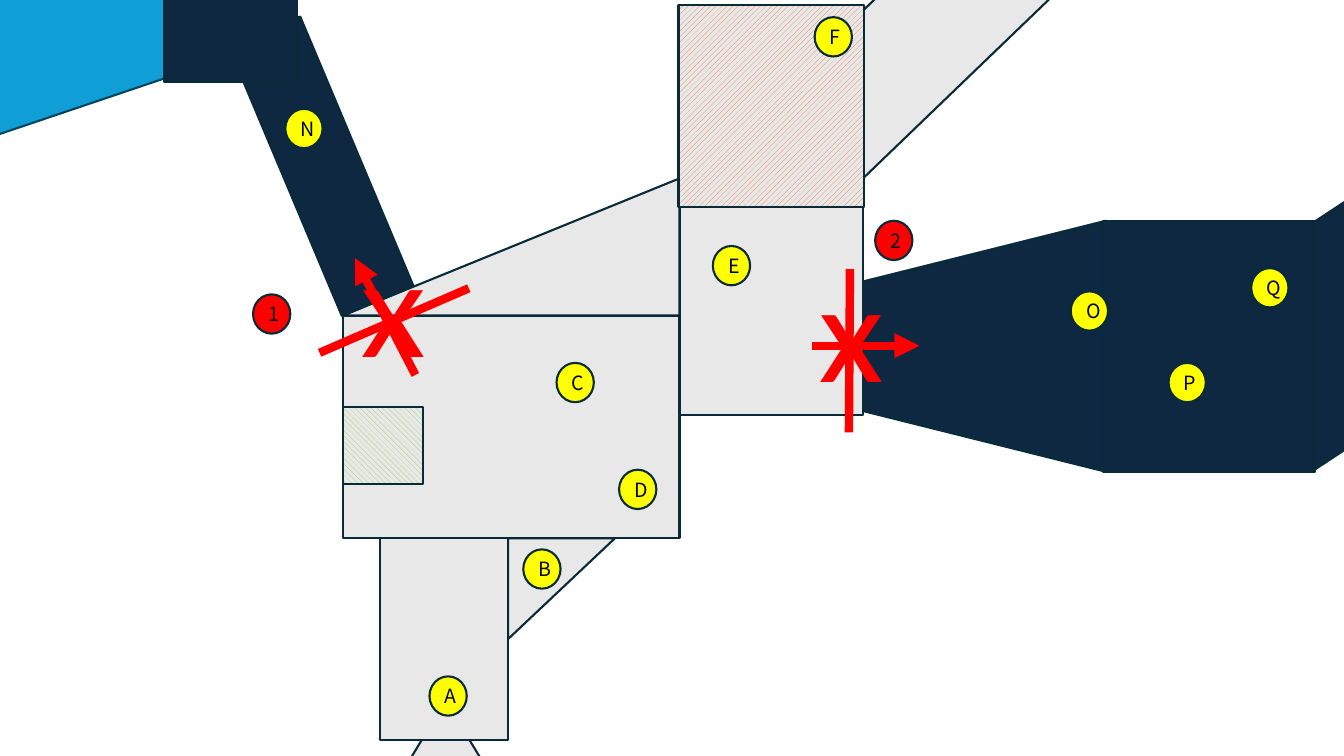
"""Build a slide of labelled blocks with two crossed-out red arrows."""
from dataclasses import dataclass
from typing import Optional

from lxml import etree
from pptx import Presentation
from pptx import util as u
from pptx.dml.color import RGBColor
from pptx.enum import dml, shapes, text
from pptx.oxml import ns

GREY = RGBColor(0xE8, 0xE8, 0xE8)
NAVY = RGBColor(0x0E, 0x28, 0x41)
OUTLINE = RGBColor(0x09, 0x2A, 0x39)
BLUE = RGBColor(0x0F, 0x9E, 0xD5)
BLUE_OUTLINE = RGBColor(0x07, 0x45, 0x5D)
ORANGE = RGBColor(0xE9, 0x71, 0x32)
GREEN = RGBColor(0x92, 0xD0, 0x50)
YELLOW = RGBColor(0xFF, 0xFF, 0x00)
RED = RGBColor(0xFF, 0x00, 0x00)
BLACK = RGBColor(0x00, 0x00, 0x00)

Kind = shapes.MSO_SHAPE
Pattern = dml.MSO_PATTERN
BADGE_WIDTH, BADGE_HEIGHT = 0.37, 0.39


@dataclass
class Block:
    kind: Kind
    left: float
    top: float
    width: float
    height: float
    fill: RGBColor = GREY
    outline: RGBColor = OUTLINE
    rotation: float = 0
    flip: str = ""
    adjustment: Optional[float] = None
    pattern: Optional[Pattern] = None


@dataclass
class Badge:
    label: str
    left: float
    top: float
    fill: RGBColor = YELLOW


@dataclass
class Stroke:
    x1: float
    y1: float
    x2: float
    y2: float
    arrow: bool = False


BLOCKS = [
    Block(Kind.ISOSCELES_TRIANGLE, 3.5, 6.95, 1.84, 1.52),
    Block(Kind.RECTANGLE, 3.77, 4.77, 1.27, 2.57),
    Block(Kind.RECTANGLE, 3.4, 3.13, 3.34, 2.21),
    Block(Kind.RIGHT_TRIANGLE, 5.04, 5.34, 1.06, 1, flip="flipV"),
    Block(Kind.RIGHT_TRIANGLE, 3.4, 1.77, 3.34, 1.36, flip="flipH"),
    Block(Kind.RECTANGLE, 6.74, 0.1, 1.82, 4.02),
    Block(Kind.RECTANGLE, 2.8, 0.2, 0.77, 2.9, NAVY, rotation=337.2),
    Block(Kind.TRAPEZOID, -2.7, -2.09, 4.32, 4.35, BLUE, BLUE_OUTLINE,
          rotation=90, adjustment=0.34),
    Block(Kind.RECTANGLE, 1.63, -0.6, 1.32, 1.41, NAVY),
    Block(Kind.DIAGONAL_STRIPE, 8.56, -1.56, 3.46, 3.33),
    Block(Kind.TRAPEZOID, 8.52, 2.23, 2.49, 2.41, NAVY, rotation=270),
    Block(Kind.RECTANGLE, 10.94, 2.19, 2.1, 2.49, NAVY),
    Block(Kind.PARALLELOGRAM, 11.97, 2.54, 3.18, 1.09, NAVY,
          rotation=270, flip="flipH", adjustment=0.66),
]
HATCHED_BLOCKS = [
    Block(Kind.RECTANGLE, 6.73, 0.05, 1.84, 2, ORANGE,
          pattern=Pattern.WIDE_UPWARD_DIAGONAL),
    Block(Kind.RECTANGLE, 3.4, 4.04, 0.8, 0.76, GREEN,
          pattern=Pattern.WIDE_DOWNWARD_DIAGONAL),
]
STROKES = [
    Stroke(3.17, 3.5, 4.65, 2.86),
    Stroke(4.12, 3.72, 3.52, 2.56, arrow=True),
    Stroke(8.42, 4.29, 8.43, 2.67),
    Stroke(8.05, 3.43, 9.12, 3.43, arrow=True),
]
CROSSES = [(3.5, 2.58), (8.04, 2.83)]
BADGES = [
    Badge("A", 4.26, 6.71),
    Badge("B", 5.19, 5.45),
    Badge("C", 5.52, 3.6),
    Badge("D", 6.14, 4.66),
    Badge("E", 7.07, 2.44),
    Badge("F", 8.08, 0.17),
    Badge("P", 11.59, 3.6),
    Badge("Q", 12.41, 2.66),
    Badge("O", 10.62, 2.89),
    Badge("N", 2.83, 1.08),
    Badge("1", 2.51, 2.92, RED),
    Badge("2", 8.68, 2.19, RED),
]


def write(shape, content: str, *, size: float, font: str, color: RGBColor,
          bold: bool = False, align=text.PP_ALIGN.LEFT,
          anchor=text.MSO_ANCHOR.TOP) -> None:
    frame = shape.text_frame
    frame.word_wrap = True
    frame.vertical_anchor = anchor
    paragraph = frame.paragraphs[0]
    paragraph.alignment = align
    run = paragraph.add_run()
    run.text = content
    run.font.size = u.Pt(size)
    run.font.name = font
    run.font.bold = bold
    run.font.color.rgb = color


def draw_block(slide, block: Block):
    shape = slide.shapes.add_shape(
        block.kind, u.Inches(block.left), u.Inches(block.top),
        u.Inches(block.width), u.Inches(block.height))
    shape.shadow.inherit = False
    shape.rotation = block.rotation
    if block.adjustment is not None:
        shape.adjustments[0] = block.adjustment
    if block.flip:
        shape._element.spPr.get_or_add_xfrm().set(block.flip, "1")
    if block.pattern is None:
        shape.fill.solid()
        shape.fill.fore_color.rgb = block.fill
    else:
        shape.fill.patterned()
        shape.fill.pattern = block.pattern
        shape.fill.fore_color.rgb = block.fill
        shape.fill.back_color.rgb = GREY
    shape.line.color.rgb = block.outline
    shape.line.width = u.Pt(1.5)
    return shape


def draw_badge(slide, badge: Badge) -> None:
    shape = draw_block(slide, Block(Kind.OVAL, badge.left, badge.top,
                                    BADGE_WIDTH, BADGE_HEIGHT, badge.fill))
    write(shape, badge.label, size=14, font="Noto Sans CJK KR", color=BLACK,
          align=text.PP_ALIGN.CENTER, anchor=text.MSO_ANCHOR.MIDDLE)


def draw_stroke(slide, stroke: Stroke) -> None:
    connector = slide.shapes.add_connector(
        shapes.MSO_CONNECTOR.STRAIGHT, u.Inches(stroke.x1), u.Inches(stroke.y1),
        u.Inches(stroke.x2), u.Inches(stroke.y2))
    connector.line.color.rgb = RED
    connector.line.width = u.Pt(6)
    if stroke.arrow:
        etree.SubElement(connector.line._get_or_add_ln(), ns.qn("a:tailEnd"),
                         type="triangle")
    etree.SubElement(connector._element.spPr, ns.qn("a:effectLst"))


def draw_cross(slide, left: float, top: float) -> None:
    box = slide.shapes.add_textbox(u.Inches(left), u.Inches(top),
                                   u.Inches(1.4), u.Inches(1.21))
    write(box, "X", size=66, font="Lato", color=RED, bold=True)


def main() -> None:
    presentation = Presentation()
    presentation.slide_width = u.Inches(13.33)
    presentation.slide_height = u.Inches(7.5)
    slide = presentation.slides.add_slide(presentation.slide_layouts[6])
    for block in BLOCKS:
        draw_block(slide, block)
    for stroke in STROKES:
        draw_stroke(slide, stroke)
    for left, top in CROSSES:
        draw_cross(slide, left, top)
    for block in HATCHED_BLOCKS:
        draw_block(slide, block)
    for badge in BADGES:
        draw_badge(slide, badge)
    presentation.save("out.pptx")


if __name__ == "__main__":
    main()
